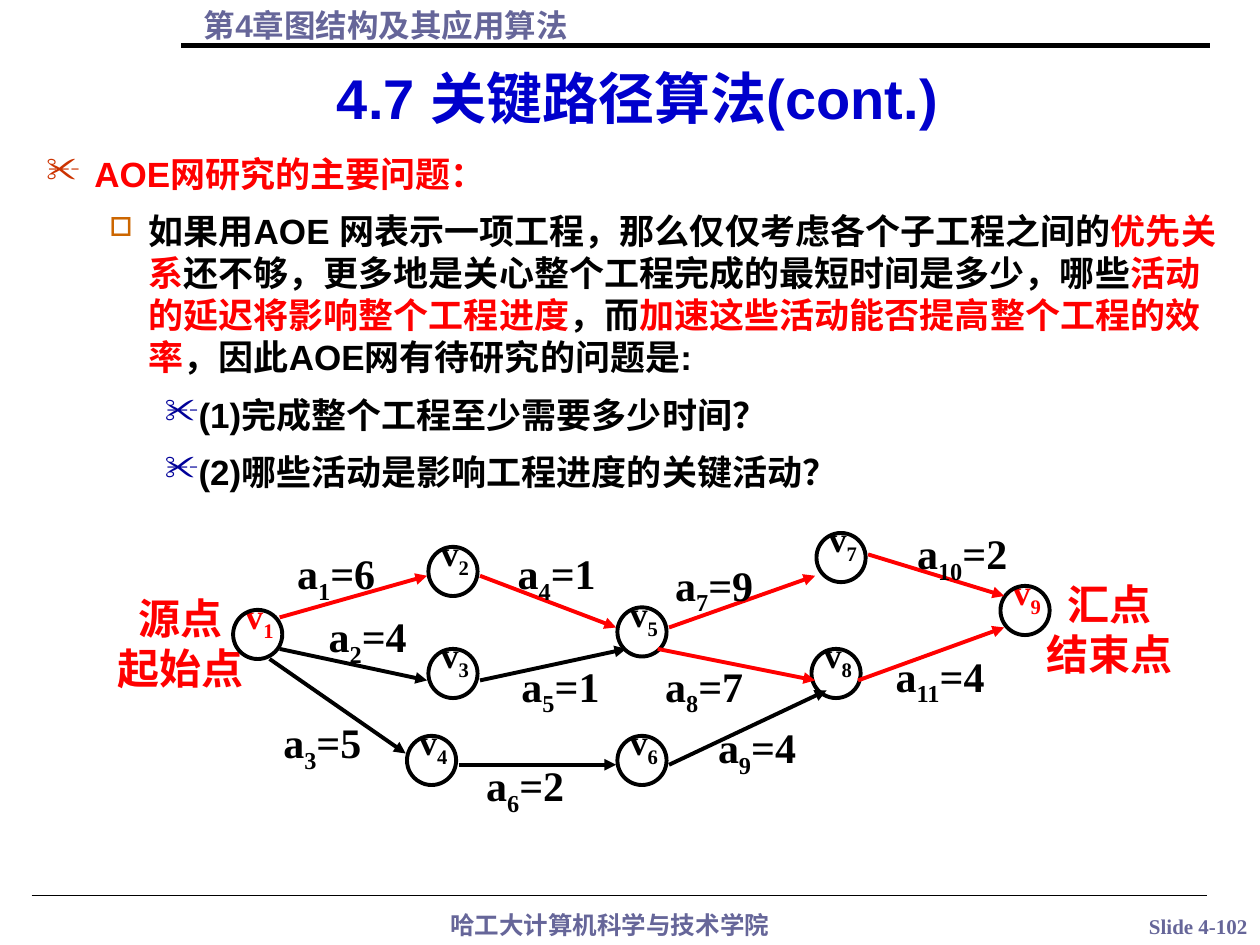
from dataclasses import dataclass

import lxml.etree
import pptx
import pptx.dml.color
import pptx.enum.shapes
import pptx.enum.text
import pptx.oxml.ns
import pptx.util

Inches, Pt = pptx.util.Inches, pptx.util.Pt
ALIGN = pptx.enum.text.PP_ALIGN
ANCHOR = pptx.enum.text.MSO_ANCHOR
BLACK, RED, BLUE, GREY = "000000", "FF0000", "0000CC", "666699"
SANS, SERIF, HAN = "Arial", "Times New Roman", "Noto Sans CJK SC"
NODE = 0.39  # circle diameter
LEAD = 1.2   # line height of Chinese text, in font sizes


@dataclass
class Node:
    num: str
    left: float
    top: float
    tint: str = BLACK


@dataclass
class Edge:
    start: tuple[float, float]
    end: tuple[float, float]
    tint: str = BLACK


@dataclass
class Tag:
    num: str
    cost: str
    left: float
    top: float


@dataclass
class Item:
    level: int
    margin: float
    hang: float
    mark: str
    scale: int
    tint: str
    words: list[tuple[str, str]]


def rgb(code: str) -> pptx.dml.color.RGBColor:
    return pptx.dml.color.RGBColor.from_string(code)


def add(parent, tag: str, **attrs: str):
    return lxml.etree.SubElement(parent, pptx.oxml.ns.qn(tag), **attrs)


def write(para, text: str, size: float, face: str, tint: str,
          sub: bool = False) -> None:
    run = para.add_run()
    run.text = text
    run.font.size = Pt(size)
    run.font.bold = True
    run.font.color.rgb = rgb(tint)
    run.font.name = face
    props = run._r.get_or_add_rPr()
    add(props, "a:ea", typeface=HAN)
    if sub:
        props.set("baseline", "-25000")


def box(slide, left: float, top: float, width: float, height: float,
        wrap: bool = True):
    shape = slide.shapes.add_textbox(
        Inches(left), Inches(top), Inches(width), Inches(height))
    shape.text_frame.word_wrap = wrap
    return shape.text_frame


def block(frame, lines: list[str], size: float, face: str, tint: str,
          align=ALIGN.CENTER) -> None:
    for i, text in enumerate(lines):
        para = frame.add_paragraph() if i else frame.paragraphs[0]
        para.alignment = align
        para.line_spacing = Pt(size * LEAD)
        write(para, text, size, face, tint)


def line(slide, edge: Edge, width: float, arrow: bool = False) -> None:
    points = [Inches(v) for v in (*edge.start, *edge.end)]
    link = slide.shapes.add_connector(
        pptx.enum.shapes.MSO_CONNECTOR.STRAIGHT, *points)
    link.line.color.rgb = rgb(edge.tint)
    link.line.width = Pt(width)
    if arrow:
        add(link.line._get_or_add_ln(), "a:tailEnd", type="triangle")
    add(link._element.spPr, "a:effectLst")


def outline(frame, items: list[Item]) -> None:
    for i, item in enumerate(items):
        para = frame.add_paragraph() if i else frame.paragraphs[0]
        para.level = item.level
        para.line_spacing = Pt(20 * LEAD)
        if i:
            para.space_before = Pt(8.8)
        props = para._p.get_or_add_pPr()
        props.set("marL", str(Inches(item.margin)))
        props.set("indent", str(-Inches(item.hang)))
        add(add(props, "a:buClr"), "a:srgbClr", val=item.tint)
        add(props, "a:buSzPct", val=str(item.scale * 1000))
        add(props, "a:buChar", char=item.mark)
        for text, tint in item.words:
            write(para, text, 20, SANS, tint)


def draw_node(slide, node: Node) -> None:
    frame = box(slide, node.left, node.top - 0.17, 0.54, 0.5)
    para = frame.paragraphs[0]
    para.line_spacing = 0.9
    write(para, "v", 20.4, SERIF, node.tint)
    write(para, node.num, 20.4, SERIF, node.tint, sub=True)
    ring = slide.shapes.add_shape(
        pptx.enum.shapes.MSO_SHAPE.OVAL, Inches(node.left),
        Inches(node.top), Inches(NODE), Inches(NODE))
    ring.shadow.inherit = False
    ring.fill.background()
    ring.line.color.rgb = rgb(BLACK)
    ring.line.width = Pt(2.25)


def draw_tag(slide, tag: Tag) -> None:
    width = 0.92 if len(tag.num) == 1 else 1.08
    para = box(slide, tag.left, tag.top, width, 0.56).paragraphs[0]
    write(para, "a", 24, SERIF, BLACK)
    write(para, tag.num, 24, SERIF, BLACK, sub=True)
    write(para, "=" + tag.cost, 24, SERIF, BLACK)


ITEMS = [
    Item(0, 0.38, 0.38, "✂", 100, "CC3300", [("AOE网研究的主要问题：", RED)]),
    Item(1, 0.81, 0.31, "□", 75, "CC6600", [
        ("如果用AOE 网表示一项工程，那么仅仅考虑各个子工程之间的", BLACK),
        ("优先关系", RED),
        ("还不够，更多地是关心整个工程完成的最短时间是多少，哪些", BLACK),
        ("活动的延迟将影响整个工程进度", RED),
        ("，而", BLACK),
        ("加速这些活动能否提高整个工程的效率", RED),
        ("，因此AOE网有待研究的问题是:", BLACK)]),
    *[Item(2, 1.19, 0.25, "✂", 100, "000099", [(text, BLACK)]) for text in (
        "(1)完成整个工程至少需要多少时间？",
        "(2)哪些活动是影响工程进度的关键活动？")],
]
NODES = [
    Node("1", 1.85, 4.84, RED), Node("4", 3.23, 5.84), Node("3", 3.4, 5.15),
    Node("2", 3.4, 4.34), Node("5", 4.9, 4.82), Node("6", 4.9, 5.84),
    Node("7", 6.48, 4.23), Node("8", 6.44, 5.15), Node("9", 7.94, 4.65, RED),
]
EDGES = [
    Edge((2.22, 4.9), (3.39, 4.57), RED), Edge((2.22, 5.15), (3.39, 5.4)),
    Edge((2.14, 5.23), (3.22, 5.98)), Edge((3.64, 6.07), (4.89, 6.07)),
    Edge((3.81, 5.4), (4.97, 5.15)), Edge((3.81, 4.57), (4.89, 4.98), RED),
    Edge((5.22, 5.15), (6.47, 5.4), RED),
    Edge((5.31, 4.98), (6.47, 4.57), RED), Edge((5.31, 6.07), (6.56, 5.48)),
    Edge((6.89, 4.4), (7.97, 4.73), RED),
    Edge((6.81, 5.4), (7.97, 4.98), RED),
]
TAGS = [
    Tag("1", "6", 2.26, 4.3), Tag("6", "2", 3.76, 5.98),
    Tag("3", "5", 2.15, 5.64), Tag("2", "4", 2.51, 4.8),
    Tag("5", "1", 4.04, 5.19), Tag("4", "1", 4.01, 4.3),
    Tag("7", "9", 5.26, 4.39), Tag("8", "7", 5.18, 5.19),
    Tag("9", "4", 5.6, 5.68), Tag("11", "4", 7.01, 5.11),
    Tag("10", "2", 7.18, 4.14),
]


def main() -> None:
    deck = pptx.Presentation()
    deck.slide_width, deck.slide_height = Inches(10), Inches(7.5)
    slide = deck.slides.add_slide(deck.slide_layouts[5])

    # Header and footer
    block(box(slide, 3.04, 7.17, 3.6, 0.34),
          ["哈工大计算机科学与技术学院"], 14, HAN, GREY)
    block(box(slide, 8.77, 7.2, 1.48, 0.3, wrap=False),
          ["Slide 4-102"], 12, SERIF, GREY)
    block(box(slide, 1.52, 0, 8.03, 0.4),
          ["第4章图结构及其应用算法"], 18, SANS, GREY, ALIGN.LEFT)
    line(slide, Edge((1.44, 0.36), (9.6, 0.36)), 3)
    line(slide, Edge((0.25, 7.11), (9.58, 7.11)), 0.75)

    # Title
    title = slide.shapes.title
    title.left, title.top = Inches(1.36), Inches(0.42)
    title.width, title.height = Inches(7.4), Inches(0.67)
    title.text_frame.vertical_anchor = ANCHOR.BOTTOM
    block(title.text_frame, ["4.7 关键路径算法(cont.)"], 32, SANS, BLUE)

    # Questions
    outline(box(slide, 0.27, 1.16, 9.52, 2.9), ITEMS)

    # Activity network
    block(box(slide, 0.81, 4.65, 1.25, 0.9),
          ["源点", "起始点"], 24, SERIF, RED)
    for node in NODES:
        draw_node(slide, node)
    for edge in EDGES:
        line(slide, edge, 2.25, arrow=True)
    for tag in TAGS:
        draw_tag(slide, tag)
    block(box(slide, 8.18, 4.54, 1.25, 0.9),
          ["汇点", "结束点"], 24, SERIF, RED)

    deck.save("out.pptx")


if __name__ == "__main__":
    main()
